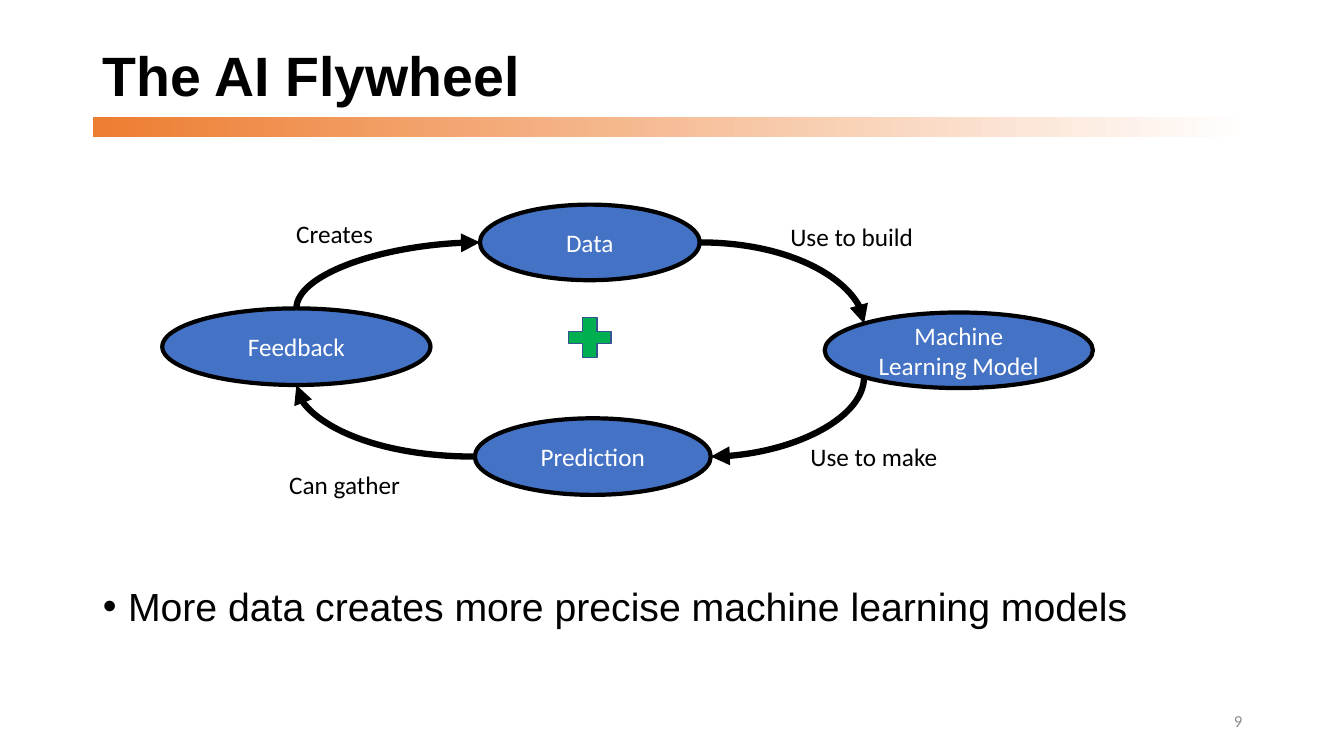
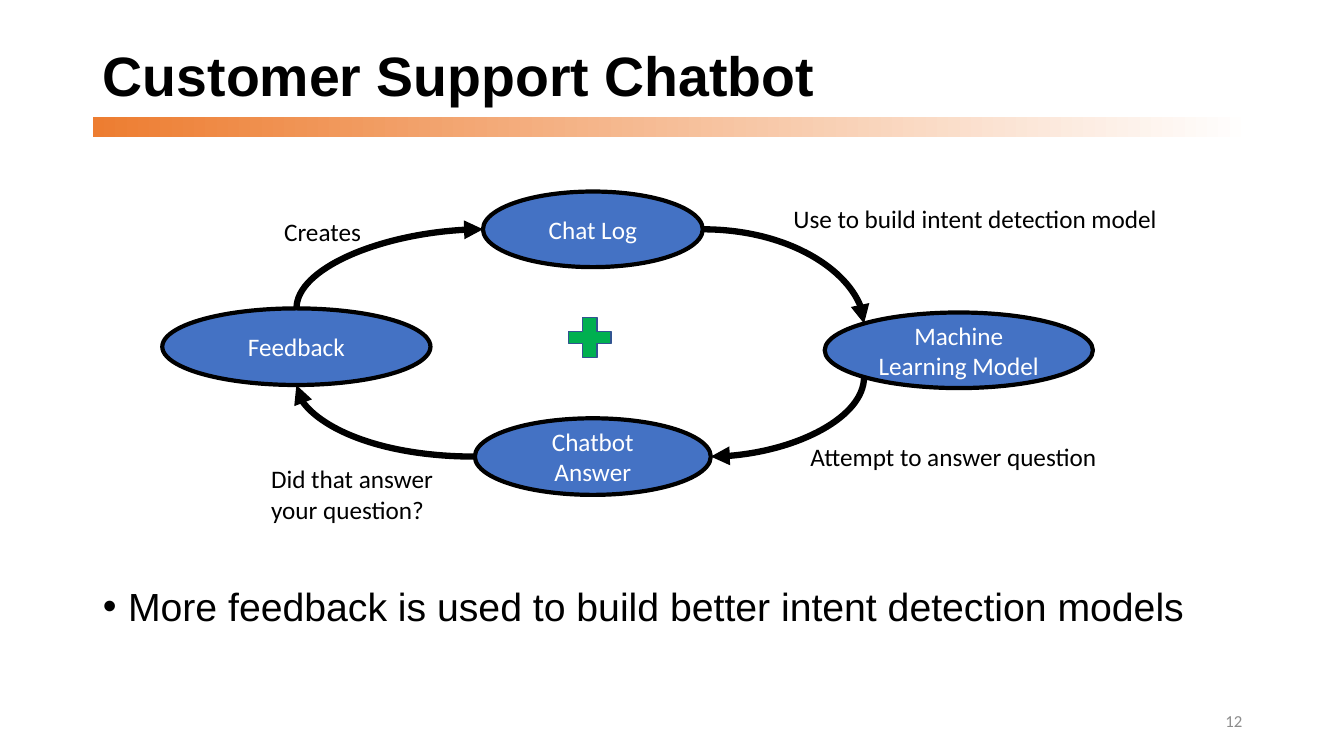
"""Build two flywheel slides with a shared title band."""
import math

from lxml import etree
from pptx import Presentation, util as u
from pptx.dml.color import RGBColor
from pptx.enum import shapes, text
from pptx.oxml import ns

PX = 9144
BLACK, WHITE, BLUE, GREY = "000000", "FFFFFF", "4472C4", "8C8C8C"
ORANGE, GREEN, NAVY = "ED7D31", "00B050", "325491"
LEFT, WIDTH = 92, 1150
TITLE_AREA = (LEFT, 40, WIDTH, 76)
BAND_AREA = (LEFT, 116, WIDTH, 20)
BODY_AREA = (LEFT, 578, WIDTH, 98)
NUMBER_AREA = (942, 695, 300, 40)
PLUS_AREA = (564, 315, 42, 40)
MODEL_AREA = (818, 310, 266, 75)
FEEDBACK_AREA = (161, 306, 266, 76)
RESULT_AREA = (471, 415, 234, 76)

SLIDES = [
    dict(
        title="The AI Flywheel",
        body="More data creates more precise machine learning models",
        number="9",
        source=("Data", (476, 203, 218, 75)),
        result="Prediction",
        labels=[
            ("Use to build", (774, 215, 143, 40)),
            ("Use to make", (794, 433, 147, 40)),
            ("Can gather", (277, 461, 131, 40)),
            ("Creates", (284, 212, 97, 40)),
        ],
    ),
    dict(
        title="Customer Support Chatbot",
        body="More feedback is used to build better intent detection models",
        number="12",
        source=("Chat Log", (479, 190, 218, 75)),
        result="Chatbot\nAnswer",
        labels=[
            ("Use to build intent detection model", (777, 197, 385, 40)),
            ("Attempt to answer question", (794, 433, 308, 40)),
            ("Did that answer\nyour question?", (259, 455, 183, 71)),
            ("Creates", (272, 210, 97, 40)),
        ],
    ),
]


def color(value):
    """Turn a hex string into a colour."""
    return RGBColor.from_string(value)


def emu(lengths):
    """Turn pixel lengths into EMU."""
    return [u.Emu(round(length * PX)) for length in lengths]


def place(box, area):
    """Move and size a box."""
    box.left, box.top, box.width, box.height = emu(area)


def write(box, words, size=18, font="Calibri", fill=BLACK, bold=False,
          align=text.PP_ALIGN.LEFT, anchor=text.MSO_ANCHOR.TOP, wrap=True,
          fit=text.MSO_AUTO_SIZE.NONE, spacing=None, before=None):
    """Fill a box with formatted text, one paragraph per line."""
    frame = box.text_frame
    frame.text = words
    frame.word_wrap, frame.auto_size, frame.vertical_anchor = wrap, fit, anchor
    for para in frame.paragraphs:
        para.alignment, para.line_spacing, para.space_before = align, spacing, before
        for span in para.runs:
            span.font.size, span.font.name, span.font.bold = u.Pt(size), font, bold
            span.font.color.rgb = color(fill)


def add_label(page, words, area, **style):
    """Add a text box."""
    write(page.shapes.add_textbox(*emu(area)), words, **style)


def add_solid(page, kind, area, fill, line, weight):
    """Add a flat preset shape with an outline."""
    box = page.shapes.add_shape(kind, *emu(area))
    box.shadow.inherit = False
    box.fill.solid()
    box.fill.fore_color.rgb = color(fill)
    box.line.color.rgb = color(line)
    box.line.width = u.Pt(weight)
    return box


def add_node(page, words, area):
    """Add a captioned ellipse."""
    box = add_solid(page, shapes.MSO_SHAPE.OVAL, area, BLUE, BLACK, 3)
    write(box, words, fill=WHITE, align=text.PP_ALIGN.CENTER,
          anchor=text.MSO_ANCHOR.MIDDLE)


def rim(area, degrees):
    """Return the point of an ellipse at an angle, clockwise from the right."""
    left, top, width, height = area
    angle = math.radians(degrees)
    return (left + width / 2 * (1 + math.cos(angle)),
            top + height / 2 * (1 + math.sin(angle)))


def add_curve(page, start, end, upright=False):
    """Add a quarter-turn arrow, leaving vertically if upright."""
    (x1, y1), (x2, y2) = start, end
    across, down = x2 - x1, y2 - y1
    if upright:
        across, down = down, -across
    middle_x, middle_y = (x1 + x2) / 2, (y1 + y2) / 2
    curve = page.shapes.add_connector(shapes.MSO_CONNECTOR.CURVE, *emu((
        middle_x - across / 2, middle_y - down / 2,
        middle_x + across / 2, middle_y + down / 2)))
    curve.line.color.rgb = color(BLACK)
    curve.line.width = u.Pt(4.5)
    properties = curve._element.spPr
    properties.find(ns.qn("a:prstGeom")).set("prst", "curvedConnector2")
    if upright:
        properties.find(ns.qn("a:xfrm")).set("rot", str(90 * 60000))
    etree.SubElement(properties.find(ns.qn("a:ln")), ns.qn("a:tailEnd"), type="triangle")
    etree.SubElement(properties, ns.qn("a:effectLst"))


def add_flywheel(page, source, result, labels):
    """Draw the four nodes, the arrows between them and their labels."""
    words, source_area = source
    add_node(page, words, source_area)
    add_node(page, result, RESULT_AREA)
    add_node(page, "Machine Learning Model", MODEL_AREA)
    add_node(page, "Feedback", FEEDBACK_AREA)
    add_curve(page, rim(source_area, 0), rim(MODEL_AREA, 225))
    add_curve(page, rim(MODEL_AREA, 135), rim(RESULT_AREA, 0), upright=True)
    add_curve(page, rim(RESULT_AREA, 180), rim(FEEDBACK_AREA, 90))
    add_curve(page, rim(FEEDBACK_AREA, 270), rim(source_area, 180), upright=True)
    for caption, area in labels:
        add_label(page, caption, area, wrap=False,
                  fit=text.MSO_AUTO_SIZE.SHAPE_TO_FIT_TEXT)
    plus = add_solid(page, shapes.MSO_SHAPE.CROSS, PLUS_AREA, GREEN, NAVY, 1)
    plus.adjustments[0] = 0.35


def add_page(deck, layout, title, body, number, **flywheel):
    """Add one slide with title, bullet, number and flywheel."""
    page = deck.slides.add_slide(layout)
    heading, bullet = page.placeholders
    write(heading, title, size=39.6, font="Arial", bold=True, spacing=0.9,
          anchor=text.MSO_ANCHOR.MIDDLE)
    write(bullet, body, size=28, font="Arial", spacing=0.9, before=u.Pt(10))
    indent = bullet.text_frame.paragraphs[0]._p.get_or_add_pPr()
    indent.set("marL", str(25 * PX))
    indent.set("indent", str(-25 * PX))
    add_label(page, number, NUMBER_AREA, size=12, fill=GREY,
              align=text.PP_ALIGN.RIGHT, anchor=text.MSO_ANCHOR.MIDDLE)
    add_flywheel(page, **flywheel)
    return page


def share_band(page, layout):
    """Draw the gradient band and hand it to the layout."""
    band = page.shapes.add_shape(shapes.MSO_SHAPE.RECTANGLE, *emu(BAND_AREA))
    band.shadow.inherit = False
    band.line.fill.background()
    band.fill.gradient()
    band.fill.gradient_angle = 0
    for stop, value in zip(band.fill.gradient_stops, (ORANGE, WHITE)):
        stop.color.rgb = color(value)
    layout.shapes._spTree.insert(2, band._element)


def main():
    """Build and save the deck."""
    deck = Presentation()
    deck.slide_width, deck.slide_height = emu((1333, 750))
    layout = deck.slide_layouts[1]
    for index, area in enumerate((TITLE_AREA, BODY_AREA)):
        place(layout.placeholders[index], area)
    pages = [add_page(deck, layout, **content) for content in SLIDES]
    share_band(pages[0], layout)
    deck.save("out.pptx")


if __name__ == "__main__":
    main()
